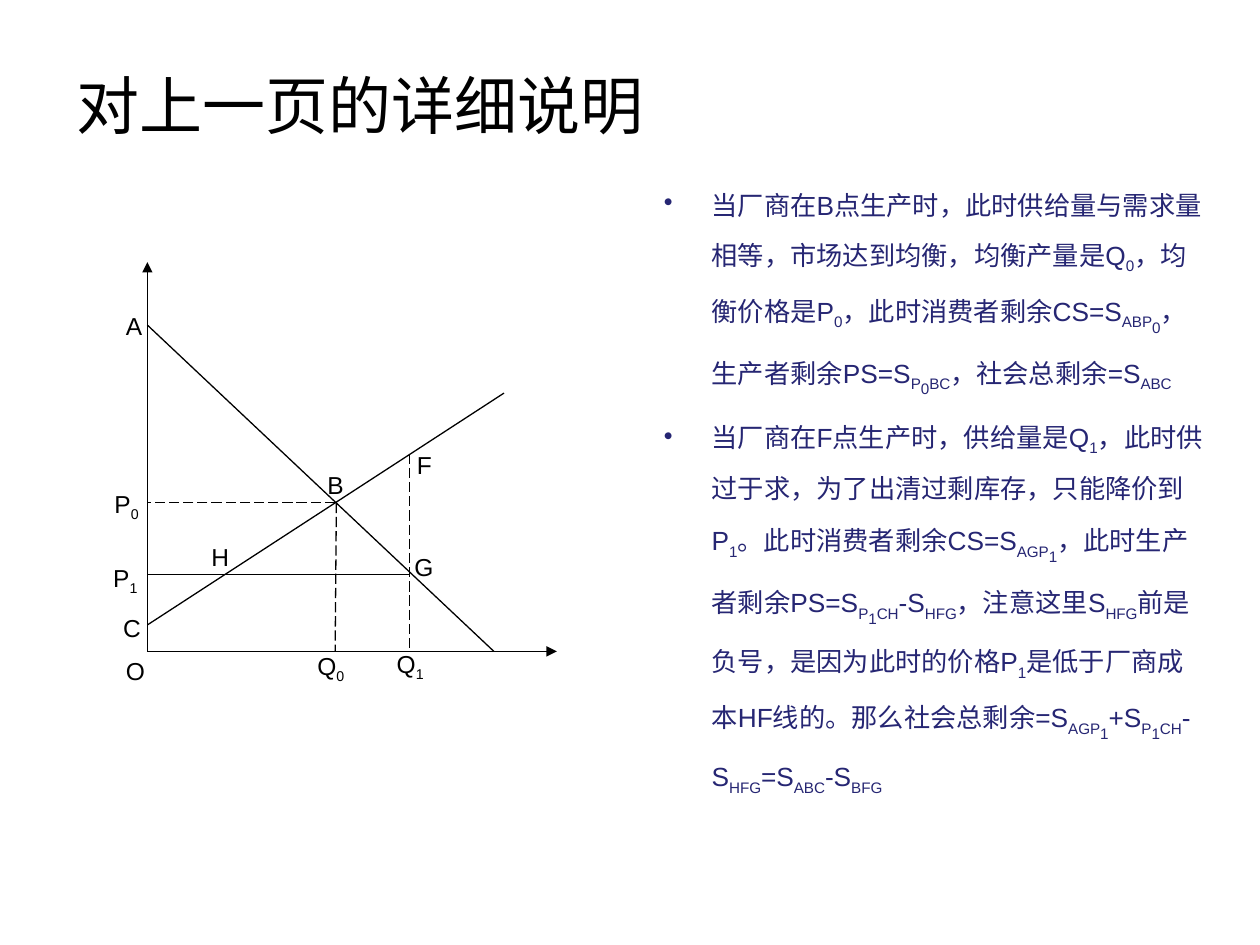
from lxml.etree import SubElement
from pptx import Presentation
from pptx.dml.color import RGBColor
from pptx.enum.dml import MSO_LINE
from pptx.enum.shapes import MSO_CONNECTOR
from pptx.enum.text import MSO_ANCHOR, MSO_AUTO_SIZE
from pptx.oxml.ns import qn
from pptx.util import Inches, Pt

BLACK = RGBColor(0x00, 0x00, 0x00)
NAVY = RGBColor(0x26, 0x26, 0x73)
FONT = "Arial"

# The slide is a grid of 100 columns by 75 rows
COLS, ROWS = 100, 75
CELL = Inches(0.1)

# Key places of the graph, in grid cells
LEFT, BASE = 11.7, 51.7      # origin
Q0, Q1 = 26.6, 32.5          # columns of the two outputs
P0, P1 = 39.9, 45.6          # rows of the two prices

# Text between bars is lowered; text between tildes is lowered further
NOTES = [
    "当厂商在B点生产时，此时供给量与需求量相等，市场达到均衡，均衡产量是Q|0|，"
    "均衡价格是P|0|，此时消费者剩余CS=S|ABP~0~|，生产者剩余PS=S|P~0~BC|，"
    "社会总剩余=S|ABC|",
    "当厂商在F点生产时，供给量是Q|1|，此时供过于求，为了出清过剩库存，只能降价到P|1|。"
    "此时消费者剩余CS=S|AGP~1~|，此时生产者剩余PS=S|P~1~CH|-S|HFG|，注意这里S|HFG|"
    "前是负号，是因为此时的价格P|1|是低于厂商成本HF线的。那么社会总剩余"
    "=S|AGP~1~|+S|P~1~CH|-S|HFG|=S|ABC|-S|BFG|",
]

# Text, left, top, width
LABELS = [
    ("O", 9, 51.6, 3.5), ("C", 8.8, 48.2, 3.4),
    ("P|0|", 8.1, 38.3, 4.4), ("P|1|", 8, 44.2, 4.1),
    ("A", 9, 24.2, 3.3), ("B", 25, 36.8, 3.3),
    ("F", 32.1, 35.2, 3.2), ("G", 31.9, 43.3, 3.5),
    ("Q|0|", 24.2, 51.2, 4.3), ("Q|1|", 30.5, 51, 4.3),
    ("H", 15.8, 42.5, 3.4),
]


def cells(*nums):
    return [round(num * CELL) for num in nums]


def add_line(slide, start, end, dash=False, arrow=False):
    line = slide.shapes.add_connector(
        MSO_CONNECTOR.STRAIGHT, *cells(*start, *end))
    line.line.color.rgb = BLACK
    line.line.width = Pt(0.75)
    if dash:
        line.line.dash_style = MSO_LINE.LONG_DASH
    if arrow:
        SubElement(line.line._get_or_add_ln(), qn("a:tailEnd"), type="triangle")
    SubElement(line._element.spPr, qn("a:effectLst"))


def add_box(slide, *place):
    frame = slide.shapes.add_textbox(*cells(*place)).text_frame
    frame.word_wrap = True
    return frame


def add_run(para, text, base):
    if text:
        run = para.add_run()
        run.text = text
        if base:
            run._r.get_or_add_rPr().set("baseline", str(base * 1000))


def write(para, text, size, color):
    para.font.name = FONT
    para.font.size = Pt(size)
    para.font.color.rgb = color
    for i, part in enumerate(text.split("|")):
        for j, piece in enumerate(part.split("~")):
            add_run(para, piece, -45 if j % 2 else -25 if i % 2 else 0)


def add_label(slide, text, left, top, width):
    frame = add_box(slide, left, top, width, 3.4)
    frame.word_wrap = False
    frame.auto_size = MSO_AUTO_SIZE.SHAPE_TO_FIT_TEXT
    write(frame.paragraphs[0], text, 14, BLACK)


def add_notes(slide, notes):
    frame = add_box(slide, 51.7, 13.3, 45, 44.6)
    for i, note in enumerate(notes):
        para = frame.add_paragraph() if i else frame.paragraphs[0]
        props = para._p.get_or_add_pPr()
        props.set("marL", str(Inches(0.38)))
        props.set("indent", str(-Inches(0.38)))
        SubElement(props, qn("a:buChar"), char="•")
        para.line_spacing = 1.5
        if i:
            para.space_before = Pt(3)
        write(para, note, 15, NAVY)


def main():
    deck = Presentation()
    deck.slide_width, deck.slide_height = cells(COLS, ROWS)
    slide = deck.slides.add_slide(deck.slide_layouts[6])

    # Title
    title = add_box(slide, 5.1, 3.6, 90, 9.4)
    title.vertical_anchor = MSO_ANCHOR.MIDDLE
    write(title.paragraphs[0], "对上一页的详细说明", 36, BLACK)

    # Axes
    add_line(slide, (LEFT, BASE), (LEFT, 20.8), arrow=True)
    add_line(slide, (LEFT, BASE), (44.2, BASE), arrow=True)

    # Demand, supply and the lower price
    add_line(slide, (LEFT, 25.8), (39.2, BASE))
    add_line(slide, (LEFT, 49.6), (40, 31.2))
    add_line(slide, (Q1, P1), (LEFT, P1))

    # Dashed guides
    add_line(slide, (Q1, 36), (Q1, BASE), dash=True)
    add_line(slide, (Q0, P0), (LEFT, P0), dash=True)
    add_line(slide, (Q0 + 0.1, P0), (Q0, BASE), dash=True)

    # Point names and notes
    for label in LABELS:
        add_label(slide, *label)
    add_notes(slide, NOTES)

    deck.save("out.pptx")


if __name__ == "__main__":
    main()
